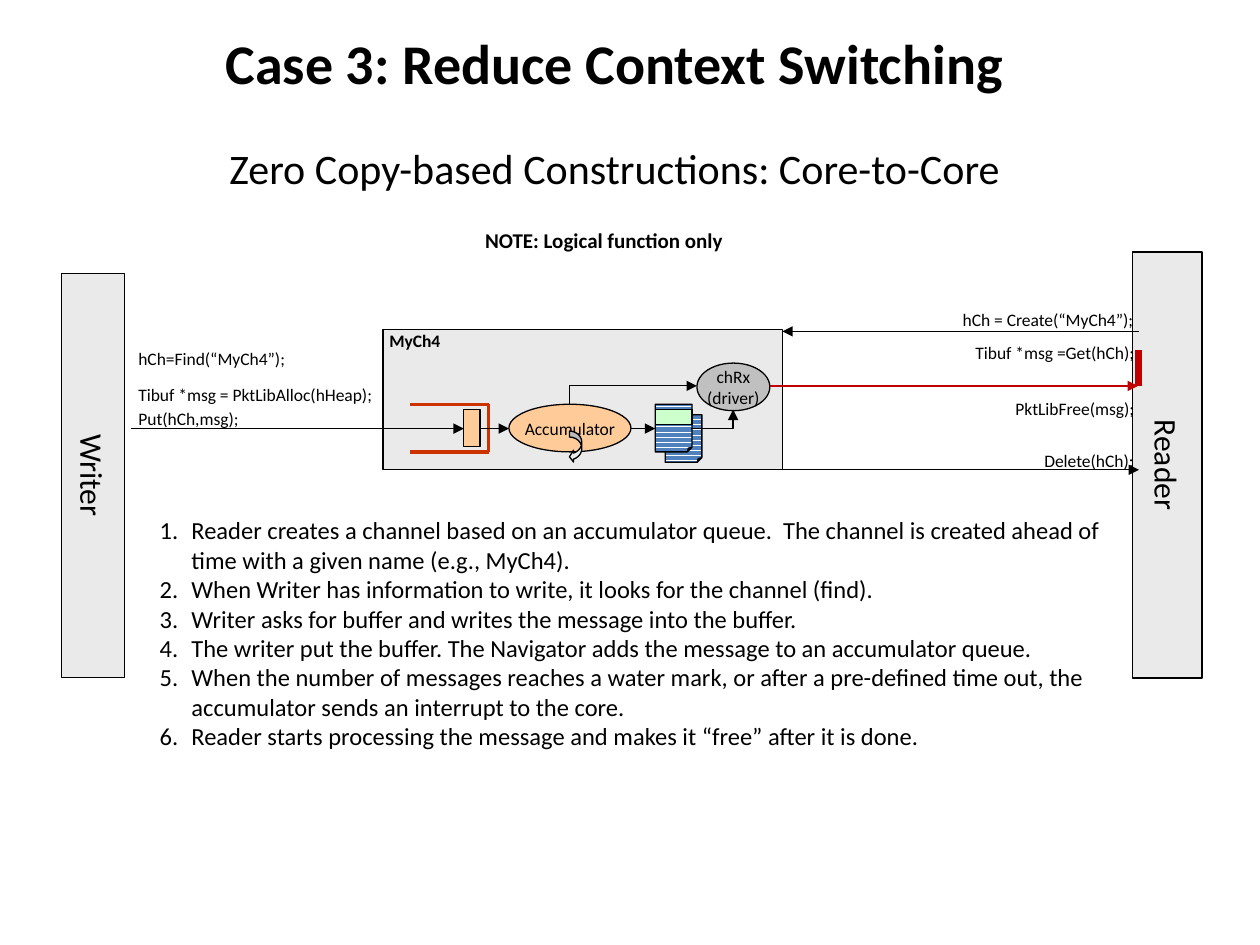
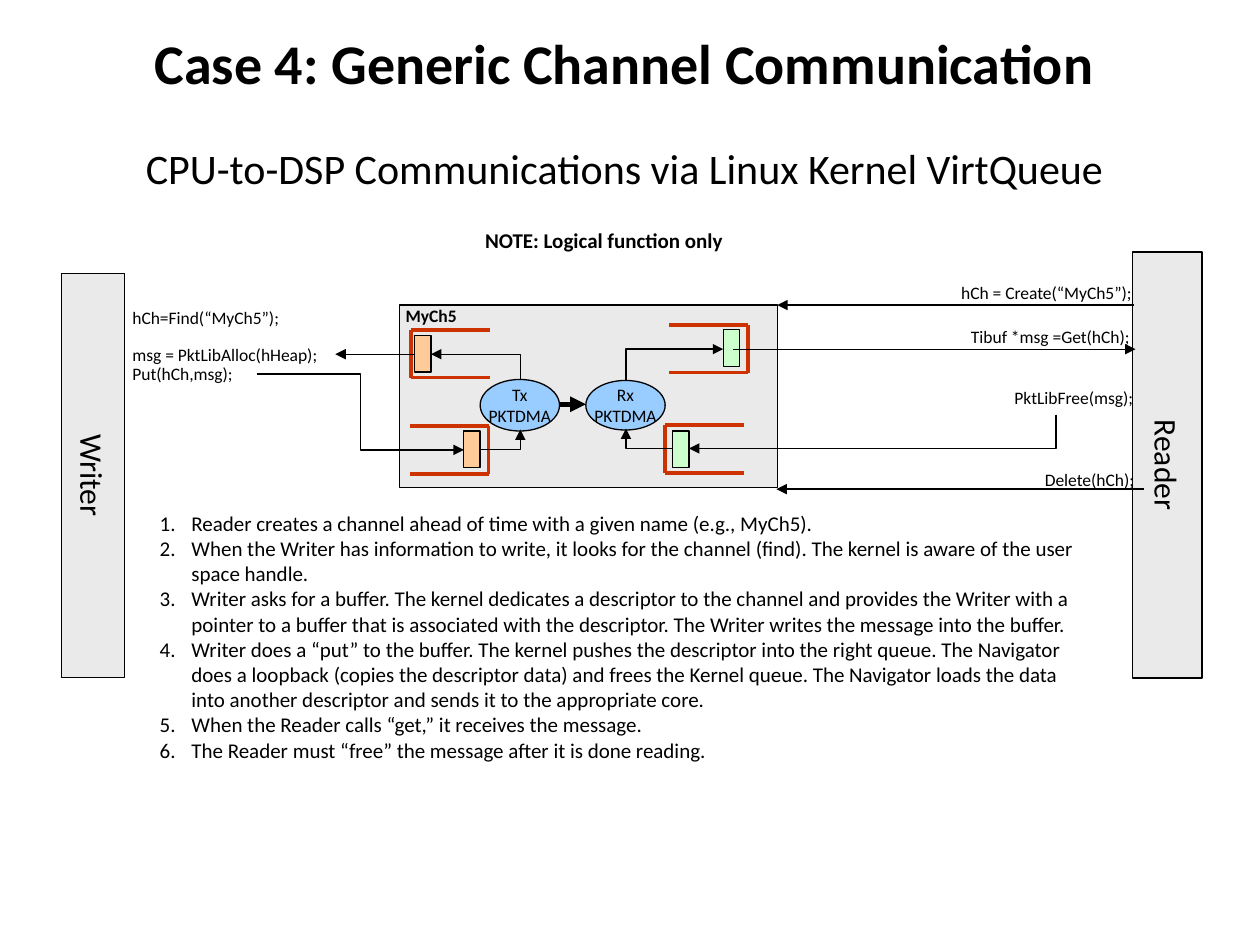
"""Build two slides on message channels between a writer and a reader."""
from lxml.etree import SubElement
from pptx import Presentation
from pptx.dml.color import RGBColor
from pptx.enum.dml import MSO_PATTERN
from pptx.enum.shapes import MSO_CONNECTOR, MSO_SHAPE
from pptx.enum.text import MSO_ANCHOR, MSO_AUTO_SIZE, PP_ALIGN
from pptx.oxml.ns import qn
from pptx.util import Cm, Pt

COLORS = {
    "black": "000000", "white": "FFFFFF", "grey": "EAEAEA", "silver": "C0C0C0",
    "orange": "FFCC99", "green": "CCFFCC", "sky": "99CCFF", "blue": "4F81BD",
    "rust": "CC3300", "red": "C00000",
}
FONT = "Calibri"
NOTE = "NOTE: Logical function only"
NOTE_BOX = (9.53, 4.45, 5.51, 0.77)
PILLARS = [("Reader", (22.83, 5.08, 1.4, 8.59)), ("Writer", (1.24, 5.51, 1.27, 8.15))]
TITLE_SIZE = (23.5, 4.47)
QUEUE_SIZE = (1.59, 0.96)
PACKET_SIZE = (0.33, 0.74)
SHEET_SIZE = (0.74, 0.96)
LABEL_HEIGHT = 0.69
FOLD = {"adj": 12500}
CURL = {"adj1": 48300, "adj2": 96700, "adj3": 33300}

SLIDES = [
    {
        "title": "Case 3: Reduce Context Switching",
        "subtitle": "Zero Copy-based Constructions: Core-to-Core",
        "title_left": 0.64,
        "steps": [
            "Reader creates a channel based on an accumulator queue.  The channel is created "
            "ahead of time with a given name (e.g., MyCh4).",
            "When Writer has information to write, it looks for the channel (find).",
            "Writer asks for buffer and writes the message into the buffer.",
            "The writer put the buffer. The Navigator adds the message to an accumulator queue.",
            "When the number of messages reaches a water mark, or after a pre-defined time out, "
            "the accumulator sends an interrupt to the core.",
            "Reader starts processing the message and makes it “free” after it is done.",
        ],
        "steps_box": (2.97, 10.26, 19.48, 5.05),
        "steps_size": 14,
        "channel": ("MyCh4", (7.72, 6.65, 8.05, 2.82)),
        "queues": [(8.26, 8.15, "right")],
        "packets": [(9.35, 8.26, "orange")],
        "sheets": [(13.41, 8.36), (13.21, 8.15)],
        "parts": [
            (MSO_SHAPE.OVAL, "orange", (10.26, 8.15, 2.46, 0.96), ["Accumulator"]),
            (MSO_SHAPE.OVAL, "silver", (14.05, 7.32, 1.47, 0.96), ["chRx", "(driver)"]),
            (MSO_SHAPE.RECTANGLE, "green", (13.21, 8.26, 0.74, 0.3), []),
            (MSO_SHAPE.CURVED_LEFT_ARROW, "grey", (11.48, 8.69, 0.25, 0.64), []),
        ],
        "arrows": [
            ("straight", (22.96, 6.68, 15.77, 6.68), {}),
            ("straight", (9.68, 8.64, 10.26, 8.64), {}),
            ("straight", (12.73, 8.64, 13.21, 8.64), {}),
            ("down_first", (11.48, 8.15, 14.05, 7.78), {}),
            ("across_first", (13.94, 8.64, 14.78, 8.26), {}),
            ("straight", (15.52, 7.78, 22.94, 7.78), {"color": "red"}),
            ("straight", (15.77, 9.47, 22.96, 9.47), {}),
            ("straight", (2.64, 8.64, 9.35, 8.64), {}),
            ("straight", (22.96, 7.06, 22.96, 7.78), {"color": "red", "width": 4, "head": False}),
        ],
        "writer_inset": 0.25,
        "writer_calls": [
            ("hCh=Find(“MyCh4”);", 2.54, 6.88, 4.24),
            ("Tibuf *msg = PktLibAlloc(hHeap);", 2.54, 7.62, 5.92),
            ("Put(hCh,msg);", 2.54, 8.1, 3.18),
        ],
        "reader_calls": [
            ("hCh = Create(“MyCh4”);", 18.42, 6.1, 4.67),
            ("Tibuf *msg =Get(hCh);", 19, 6.76, 4.11),
            ("PktLibFree(msg);", 19.51, 7.9, 3.6),
            ("Delete(hCh);", 20.5, 8.94, 2.6),
        ],
    },
    {
        "title": "Case 4: Generic Channel Communication",
        "subtitle": "CPU-to-DSP Communications via Linux Kernel VirtQueue",
        "title_left": 0.84,
        "steps": [
            "Reader creates a channel ahead of time with a given name (e.g., MyCh5).",
            "When the Writer has information to write, it looks for the channel (find). "
            "The kernel is aware of the user space handle.",
            "Writer asks for a buffer. The kernel dedicates a descriptor to the channel and "
            "provides the Writer with a pointer to a buffer that is associated with the "
            "descriptor. The Writer writes the message into the buffer.",
            "Writer does a “put” to the buffer. The kernel pushes the descriptor into the right "
            "queue. The Navigator does a loopback (copies the descriptor data) and frees the "
            "Kernel queue. The Navigator loads the data into another descriptor and sends it "
            "to the appropriate core.",
            "When the Reader calls “get,” it receives the message.",
            "The Reader must “free” the message after it is done reading.",
        ],
        "steps_box": (2.97, 10.16, 19.25, 5.38),
        "steps_size": 12,
        "channel": ("MyCh5", (8.05, 6.15, 7.62, 3.68)),
        "queues": [(13.49, 6.55, "right"), (13.41, 8.57, "left"),
                   (8.26, 8.59, "right"), (8.28, 6.65, "left")],
        "packets": [(13.56, 8.69, "green"), (14.58, 6.65, "green"),
                    (9.35, 8.69, "orange"), (8.36, 6.76, "orange")],
        "sheets": [],
        "parts": [
            (MSO_SHAPE.OVAL, "sky", (11.81, 7.67, 1.6, 1), ["Rx", "PKTDMA"]),
            (MSO_SHAPE.OVAL, "sky", (9.68, 7.65, 1.6, 1.04), ["Tx", "PKTDMA"]),
        ],
        "arrows": [
            ("straight", (23.06, 9.86, 15.65, 9.86), {}),
            ("straight", (14.78, 7.04, 22.89, 7.04), {}),
            ("straight", (22.86, 6.15, 15.67, 6.15), {}),
            ("across_first", (13.56, 9.04, 12.62, 8.64), {}),
            ("down_first", (12.62, 7.67, 14.58, 7.04), {}),
            ("across_first", (9.68, 9.07, 10.49, 8.66), {}),
            ("down_first", (10.49, 7.65, 8.69, 7.14), {}),
            ("straight", (11.28, 8.15, 11.81, 8.15), {"width": 3}),
            ("down_first", (21.29, 8.36, 13.89, 9.04), {}),
            ("straight", (8.36, 7.14, 6.76, 7.14), {}),
            ("step", (5.18, 7.54, 9.35, 9.07), {}),
        ],
        "writer_inset": 0.13,
        "writer_calls": [
            ("hCh=Find(“MyCh5”);", 2.54, 6.05, 4.24),
            ("msg = PktLibAlloc(hHeap);", 2.54, 6.81, 4.22),
            ("Put(hCh,msg);", 2.54, 7.19, 2.64),
        ],
        "reader_calls": [
            ("hCh = Create(“MyCh5”);", 18.39, 5.56, 4.67),
            ("Tibuf *msg =Get(hCh);", 18.57, 6.45, 4.45),
            ("PktLibFree(msg);", 19.48, 7.67, 3.61),
            ("Delete(hCh);", 20.52, 9.32, 2.59),
        ],
    },
]


def rgb(name):
    return RGBColor.from_string(COLORS[name])


def cm(values):
    return [Cm(v) for v in values]


def apply(obj, values):
    for name, value in values.items():
        setattr(obj, name, value)


def write(tf, lines, size=10, bold=False, align=PP_ALIGN.LEFT):
    for i, line in enumerate(lines):
        p = tf.paragraphs[0] if i == 0 else tf.add_paragraph()
        p.alignment = align
        r = p.add_run()
        r.text = line
        apply(r.font, {"size": Pt(size), "bold": bold, "name": FONT})
        r.font.color.rgb = rgb("black")


def margins(tf, side, top):
    apply(tf, {"margin_left": Cm(side), "margin_right": Cm(side),
               "margin_top": Cm(top), "margin_bottom": Cm(top)})


def add_text(s, box, lines, inset=0.25, **style):
    tf = s.shapes.add_textbox(*cm(box)).text_frame
    tf.word_wrap = True
    margins(tf, inset, 0.13)
    write(tf, lines, **style)
    return tf


def add_part(s, kind, color, box, lines=(), **style):
    sp = s.shapes.add_shape(kind, *cm(box))
    sp.shadow.inherit = False
    sp.fill.solid()
    sp.fill.fore_color.rgb = rgb(color)
    sp.line.color.rgb = rgb("black")
    sp.line.width = Pt(0.75)
    apply(sp.text_frame, {"word_wrap": False, "vertical_anchor": MSO_ANCHOR.MIDDLE})
    write(sp.text_frame, lines, **{"align": PP_ALIGN.CENTER, **style})
    return sp


def adjust(sp, guides):
    geometry = sp._element.spPr.find(qn("a:prstGeom"))
    for old in geometry.findall(qn("a:avLst")):
        geometry.remove(old)
    values = SubElement(geometry, qn("a:avLst"))
    for name, value in guides.items():
        SubElement(values, qn("a:gd"), name=name, fmla=f"val {value}")


def add_line(s, route, ends, color="black", width=0.75, head=True):
    x1, y1, x2, y2 = ends
    if route == "down_first":
        mid_x, mid_y = (x1 + x2) / 2, (y1 + y2) / 2
        half_w, half_h = (y2 - y1) / 2, (x1 - x2) / 2
        ends = (mid_x - half_w, mid_y - half_h, mid_x + half_w, mid_y + half_h)
    kind = MSO_CONNECTOR.STRAIGHT if route == "straight" else MSO_CONNECTOR.ELBOW
    c = s.shapes.add_connector(kind, *cm(ends))
    c.line.color.rgb = rgb(color)
    c.line.width = Pt(width)
    sp_pr = c._element.spPr
    if route.endswith("first"):
        sp_pr.find(qn("a:prstGeom")).set("prst", "bentConnector2")
    if route == "down_first":
        sp_pr.find(qn("a:xfrm")).set("rot", str(90 * 60000))
    if head:
        SubElement(c.line._get_or_add_ln(), qn("a:tailEnd"), type="triangle")
    SubElement(sp_pr, qn("a:effectLst"))


def add_queue(s, left, top, wall):
    w, h = QUEUE_SIZE
    right, bottom = left + w, top + h
    x = right if wall == "right" else left
    for ends in ((left, top, right, top), (left, bottom, right, bottom), (x, bottom, x, top)):
        add_line(s, "straight", ends, "rust", 2, False)


def add_sheet(s, left, top):
    sp = add_part(s, MSO_SHAPE.FOLDED_CORNER, "white", (left, top, *SHEET_SIZE))
    adjust(sp, FOLD)
    sp.fill.patterned()
    sp.fill.pattern = MSO_PATTERN.DARK_HORIZONTAL
    sp.fill.fore_color.rgb = rgb("blue")
    sp.fill.back_color.rgb = rgb("white")


def add_title(s, d):
    title = s.shapes.title
    left, top, width, height = cm((d["title_left"], 0, *TITLE_SIZE))
    apply(title, {"left": left, "top": top, "width": width, "height": height})
    tf = title.text_frame
    apply(tf, {"vertical_anchor": MSO_ANCHOR.MIDDLE, "auto_size": MSO_AUTO_SIZE.NONE,
               "word_wrap": True})
    write(tf, [d["title"], d["subtitle"]], 32, True, PP_ALIGN.CENTER)
    sub = tf.paragraphs[1]
    sub.space_before = Pt(27)
    apply(sub.runs[0].font, {"size": Pt(24), "bold": False})


def add_steps(s, d):
    tf = add_text(s, d["steps_box"], d["steps"], size=d["steps_size"])
    for p in tf.paragraphs:
        p_pr = p._p.get_or_add_pPr()
        p_pr.set("marL", str(Cm(0.64)))
        p_pr.set("indent", str(Cm(-0.64)))
        SubElement(p_pr, qn("a:buFont"), typeface="+mj-lt")
        SubElement(p_pr, qn("a:buAutoNum"), type="arabicPeriod")


def build_slide(prs, d):
    s = prs.slides.add_slide(prs.slide_layouts[5])
    add_title(s, d)
    for name, box in PILLARS:
        tf = add_part(s, MSO_SHAPE.RECTANGLE, "grey", box, [name], size=18).text_frame
        margins(tf, 0, 0)
        tf._txBody.bodyPr.set("vert", "vert")
    add_steps(s, d)
    name, box = d["channel"]
    tf = add_part(s, MSO_SHAPE.RECTANGLE, "grey", box, [name], bold=True,
                  align=PP_ALIGN.LEFT).text_frame
    margins(tf, 0.13, 0)
    tf.vertical_anchor = MSO_ANCHOR.TOP
    for left, top, color in d["packets"]:
        add_part(s, MSO_SHAPE.RECTANGLE, color, (left, top, *PACKET_SIZE))
    for queue in d["queues"]:
        add_queue(s, *queue)
    for sheet in d["sheets"]:
        add_sheet(s, *sheet)
    for part in d["parts"]:
        sp = add_part(s, *part)
        if part[0] == MSO_SHAPE.CURVED_LEFT_ARROW:
            adjust(sp, CURL)
    for route, ends, style in d["arrows"]:
        add_line(s, route, ends, **style)
    for call, left, top, width in d["writer_calls"]:
        add_text(s, (left, top, width, LABEL_HEIGHT), [call], d["writer_inset"])
    for call, left, top, width in d["reader_calls"]:
        add_text(s, (left, top, width, LABEL_HEIGHT), [call], align=PP_ALIGN.RIGHT)
    add_text(s, NOTE_BOX, [NOTE], size=12, bold=True)


def main():
    prs = Presentation()
    prs.slide_width, prs.slide_height = Cm(25.4), Cm(19.05)
    for d in SLIDES:
        build_slide(prs, d)
    prs.save("out.pptx")


if __name__ == "__main__":
    main()
